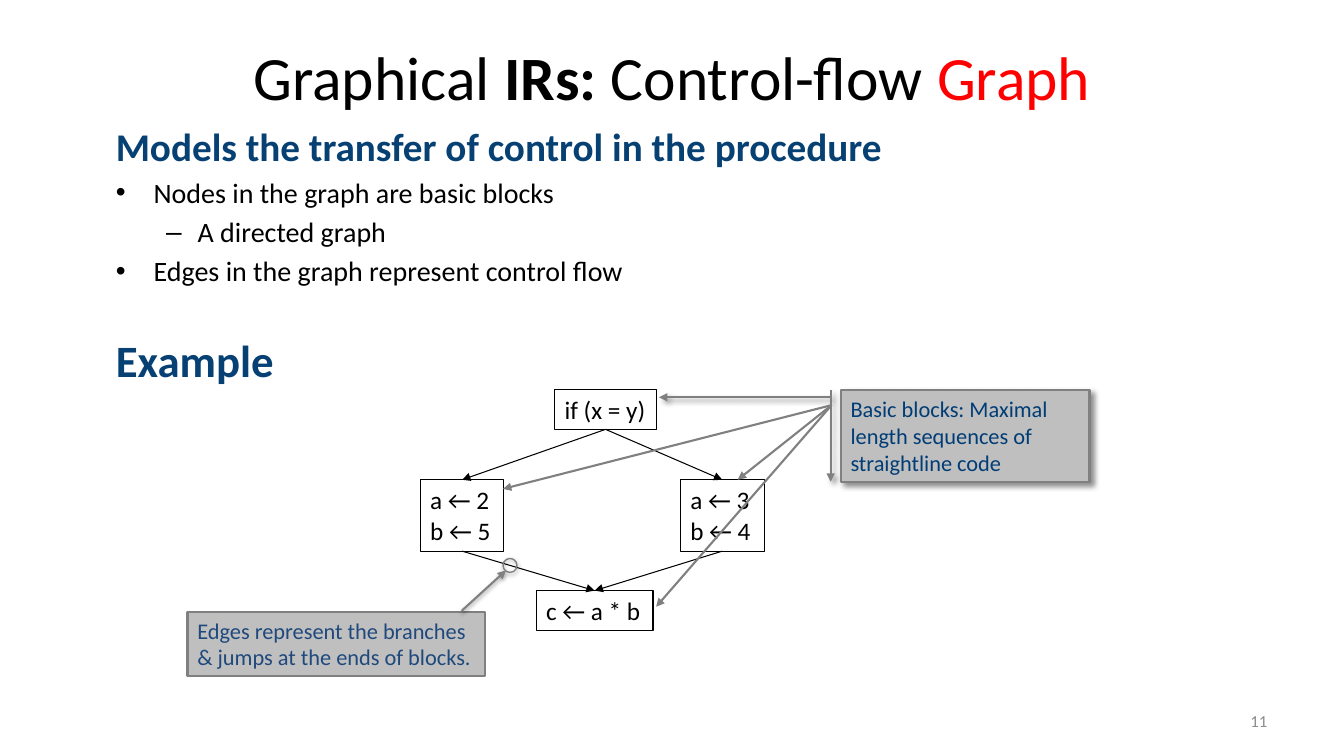
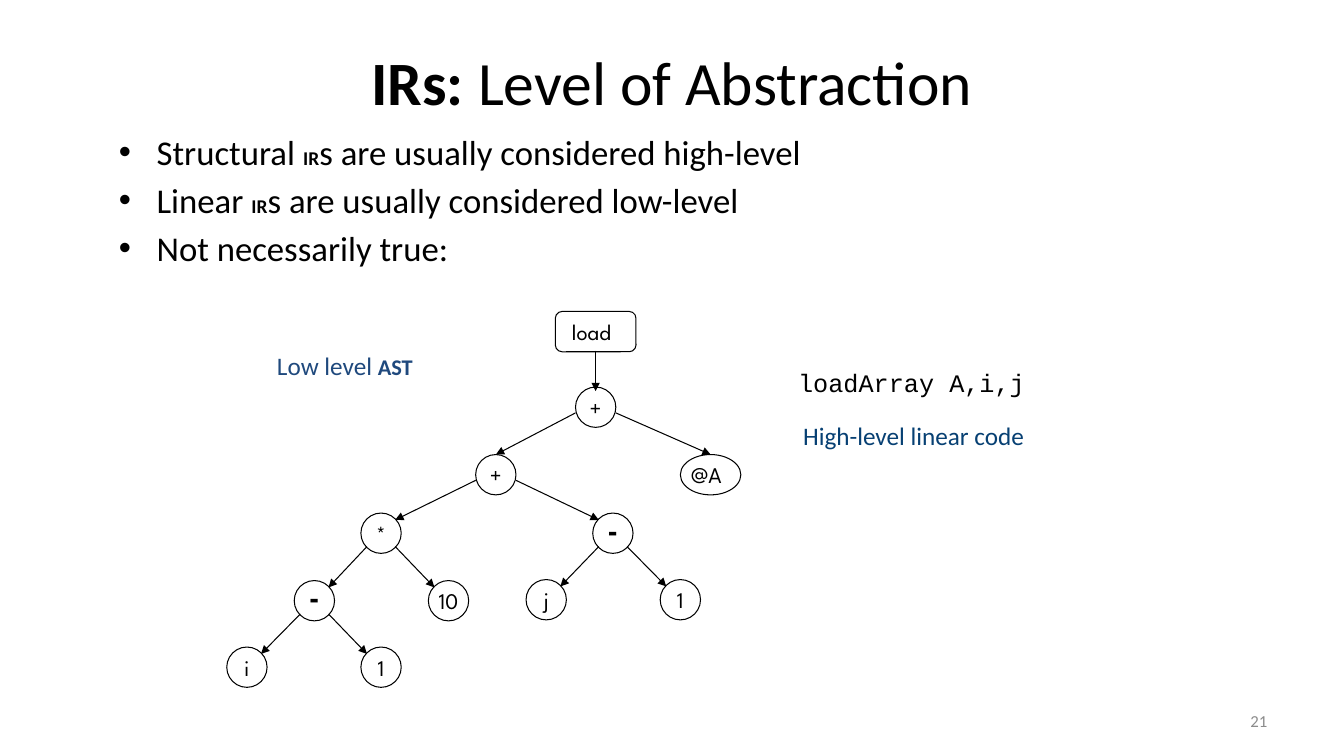
from pptx import Presentation
from pptx.dml.color import RGBColor
from pptx.enum.shapes import MSO_CONNECTOR, MSO_SHAPE
from pptx.enum.text import MSO_ANCHOR, MSO_AUTO_SIZE, PP_ALIGN
from pptx.oxml import parse_xml
from pptx.oxml.ns import nsdecls, qn
from pptx.util import Pt

LEFT, MID, RIGHT = PP_ALIGN.LEFT, PP_ALIGN.CENTER, PP_ALIGN.RIGHT
CENTER = MSO_ANCHOR.MIDDLE
FIT = MSO_AUTO_SIZE.SHAPE_TO_FIT_TEXT
BOX, OVAL = MSO_SHAPE.RECTANGLE, MSO_SHAPE.OVAL
ROUND = MSO_SHAPE.ROUNDED_RECTANGLE
CALL = MSO_SHAPE.LINE_CALLOUT_1_BORDER_AND_ACCENT_BAR
LINE = MSO_CONNECTOR.STRAIGHT

SANS, TREE, CODE = "Calibri", "League Spartan", "Courier New"
BLACK, RED, GRAY, PALE, FAINT = "000000", "FF0000", "808080", "BFBFBF", "8C8C8C"
NAVY, BLUE, DEEP = "074073", "1F497D", "003C75"
DISC = 28.8


def rgb(code):
    """Turn a hex string into a colour."""
    return RGBColor.from_string(code)


def style(font, size=None, color=None, name=None, bold=None):
    """Set the given font traits."""
    if size:
        font.size = Pt(size)
    if color:
        font.color.rgb = rgb(color)
    if name:
        font.name = name
    if bold is not None:
        font.bold = bold


def write(par, runs, size, color=BLACK, name=SANS, bold=False, align=LEFT):
    """Write a paragraph from a string or from (text, traits) runs."""
    par.alignment = align
    style(par.font, size, color, name, bold)
    for text, traits in [(runs, {})] if isinstance(runs, str) else runs:
        run = par.add_run()
        run.text = text
        style(run.font, **traits)


def lines(frame, count):
    """Return the wanted number of paragraphs of a frame."""
    return [frame.paragraphs[0]] + [frame.add_paragraph() for _ in range(count - 1)]


def label(slide, at, runs, size, color=BLACK, name=SANS, align=LEFT, wrap=False):
    """Add a one-paragraph text box."""
    frame = slide.shapes.add_textbox(*map(Pt, at)).text_frame
    frame.word_wrap = wrap
    if wrap:
        frame.vertical_anchor = CENTER
    else:
        frame.auto_size = FIT
    write(frame.paragraphs[0], runs, size, color, name, align=align)


def page(deck, title, top, number):
    """Add a slide with its title and page number."""
    slide = deck.slides.add_slide(deck.slide_layouts[6])
    label(slide, (156, top, 648, 90), title, 44, align=MID, wrap=True)
    label(slide, (688.3, 500.4, 224, 28.8), number, 12, FAINT, align=RIGHT, wrap=True)
    return slide


def indent(par, left, hang, mark):
    """Set a hanging indent and, if given, a bullet."""
    props = par._p.get_or_add_pPr()
    props.set("marL", str(Pt(left)))
    props.set("indent", str(-Pt(hang)))
    if mark:
        props.append(parse_xml(f'<a:buFont {nsdecls("a")} typeface="Arial"/>'))
        props.append(parse_xml(f'<a:buChar {nsdecls("a")} char="{mark}"/>'))


def body(slide, at, items):
    """Add the list of (runs, size, space, mark, traits) items."""
    frame = slide.shapes.add_textbox(*map(Pt, at)).text_frame
    frame.word_wrap = True
    for par, (runs, size, space, mark, traits) in zip(lines(frame, len(items)), items):
        left, hang = (58.5, 22.5) if mark == "–" else (27, 27)
        indent(par, left, hang, mark)
        if space:
            par.space_before = Pt(space)
        write(par, runs, size, **traits)


def shade(shape, alpha=0, blur=0, dist=0, angle=0):
    """Replace the effects of a shape by one shadow, or by none."""
    props = shape.element.spPr
    for old in props.findall(qn("a:effectLst")):
        props.remove(old)
    inner = "" if not alpha else (
        f'<a:outerShdw blurRad="{Pt(blur)}" dist="{Pt(dist)}" dir="{angle * 60000}" '
        f'algn="ctr" rotWithShape="0"><a:srgbClr val="000000">'
        f'<a:alpha val="{alpha * 1000}"/></a:srgbClr></a:outerShdw>')
    props.append(parse_xml(f'<a:effectLst {nsdecls("a")}>{inner}</a:effectLst>'))


def head(shape):
    """Put an arrowhead at the end of a line."""
    line = shape.element.spPr.find(qn("a:ln"))
    line.append(parse_xml(f'<a:tailEnd {nsdecls("a")} type="triangle"/>'))


def arrow(slide, start, end, color=BLACK, width=0.75, shadow=()):
    """Draw an arrow between two points."""
    shape = slide.shapes.add_connector(LINE, *map(Pt, (*start, *end)))
    shape.line.color.rgb = rgb(color)
    shape.line.width = Pt(width)
    head(shape)
    shade(shape, *shadow)


def outline(slide, kind, at, color=BLACK, width=0.75, fill=None, shadow=()):
    """Add a preset shape with a plain line."""
    shape = slide.shapes.add_shape(kind, *map(Pt, at))
    if fill:
        shape.fill.solid()
        shape.fill.fore_color.rgb = rgb(fill)
    else:
        shape.fill.background()
    shape.line.color.rgb = rgb(color)
    shape.line.width = Pt(width)
    shape.shadow.inherit = False
    if shadow:
        shade(shape, *shadow)
    return shape


def block(slide, at, texts):
    """Add a basic block of the flow graph."""
    frame = outline(slide, BOX, at).text_frame
    frame.word_wrap = False
    frame.auto_size = FIT
    frame.vertical_anchor = MSO_ANCHOR.TOP
    for par, text in zip(lines(frame, len(texts)), texts):
        write(par, text, 18)


def note(slide, kind, at, text, color, shadow=()):
    """Add a gray remark box."""
    shape = outline(slide, kind, at, GRAY, 1.5, PALE, shadow)
    frame = shape.text_frame
    frame.word_wrap = True
    frame.vertical_anchor = MSO_ANCHOR.TOP
    write(frame.paragraphs[0], text, 16, color)
    return shape


def node(slide, kind, at, text):
    """Add a tree node with its text."""
    shape = outline(slide, kind, at)
    frame = shape.text_frame
    minus = text == "-"
    frame.margin_left = frame.margin_top = 0
    frame.margin_right = Pt(6 if at[2] > DISC else 0)
    frame.margin_bottom = Pt(6 if minus else 0)
    frame.word_wrap = False
    frame.vertical_anchor = CENTER
    write(frame.paragraphs[0], text, 20 if minus else 16, name=TREE, bold=minus, align=MID)


def spot(at, part):
    """Find the point at a fraction of a box."""
    x, y, wide, high = at
    return x + wide * part[0], y + high * part[1]


def flow(deck):
    """Build the control-flow slide."""
    title = [("Graphical ", {}), ("IRs: ", {"bold": True}), ("Control-flow ", {}),
             ("Graph", {"color": RED})]
    slide = page(deck, title, 9.4, "11")
    lead = {"color": NAVY, "bold": True}
    body(slide, (75.6, 84.2, 790.6, 408.2), [
        ("Models the transfer of control in the procedure", 28, 0, None, lead),
        ("Nodes in the graph are basic blocks", 20, 4, "•", {}),
        ("A directed graph", 20, 4, "–", {}),
        ("Edges in the graph represent control flow", 20, 4, "•", {}),
        ("Example", 32, 32, None, lead)])

    blocks = {
        "test": ((396.2, 277.9, 72.7, 28.8), ["if (x = y)"]),
        "then": ((300.2, 342.7, 59.8, 51), ["a ← 2", "b ← 5"]),
        "else": ((486, 342.7, 59.8, 51), ["a ← 3", "b ← 4"]),
        "join": ((383, 421.9, 83.5, 28.8), ["c ← a * b"])}
    for at, texts in blocks.values():
        block(slide, at, texts)
    for one, two in (("test", "then"), ("test", "else"), ("then", "join"), ("else", "join")):
        arrow(slide, spot(blocks[one][0], (0.5, 1)), spot(blocks[two][0], (0.5, 0)))

    call = note(slide, CALL, (600.5, 278.6, 177.8, 65.5),
                "Basic blocks: Maximal length sequences of straightline code",
                DEEP, (43, 4, 3, 45))
    for rank, value in enumerate((0.08, -0.04, 0.08, -0.73)):
        call.adjustments[rank] = value
    head(call)
    for end in ((527, 342.7), (359.3, 349.2), (468.7, 433.4)):
        arrow(slide, (594, 289.4), end, GRAY, 1.5)

    outline(slide, OVAL, (359.3, 398.9, 10, 10), GRAY, 1, shadow=(35, 3.1, 1.8, 90))
    note(slide, BOX, (133.9, 437, 212.4, 46),
         "Edges represent the branches & jumps at the ends of blocks.", BLUE)
    arrow(slide, (329.8, 436.3), (361.4, 407.5), GRAY, 1.5, (38, 3.1, 1.6, 90))


def level(deck):
    """Build the slide on levels of abstraction."""
    slide = page(deck, [("IRs: ", {"bold": True}), ("Level of Abstraction", {})], 12.4, "21")
    small = ("IR", {"size": 13.9, "bold": True})
    body(slide, (77.8, 90, 808.6, 117.4), [
        ([("Structural ", {}), small, ("s are usually considered high-level", {})],
         24.8, 0, "•", {}),
        ([("Linear ", {}), small, ("s are usually considered low-level", {})],
         24.8, 4.5, "•", {}),
        ("Not necessarily true:", 24.8, 4.5, "•", {})])

    nodes = {
        "load": (396.7, 222.5, 57.6, "load"),
        "root": (411.1, 276.5, DISC, "+"),
        "sum": (339.8, 324.7, DISC, "+"),
        "base": (486, 324.7, 43.2, "@A"),
        "times": (257.8, 366.5, DISC, "*"),
        "col": (423.4, 366.5, DISC, "-"),
        "row": (210.2, 414.7, DISC, "-"),
        "ten": (306, 414.7, DISC, "10"),
        "j": (375.8, 414, DISC, "j"),
        "one": (471.6, 414, DISC, "1"),
        "i": (162, 462.2, DISC, "i"),
        "unit": (257.8, 462.2, DISC, "1")}
    spots = {key: (x, y, wide, DISC) for key, (x, y, wide, _) in nodes.items()}
    for key, (*_, text) in nodes.items():
        node(slide, ROUND if key == "load" else OVAL, spots[key], text)

    side, low, high, top = (0, 0.64), (0.15, 0.83), (0.85, 0.17), (0.5, 0)
    pairs = [("root", "sum", "base", side, top), ("sum", "times", "col", side, high),
             ("times", "row", "ten", low, high), ("col", "j", "one", low, high),
             ("row", "i", "unit", low, high)]
    arrow(slide, spot(spots["load"], (0.5, 0.97)), spot(spots["root"], (0.5, 0.1)))
    for stem, left, right, out, into in pairs:
        arrow(slide, spot(spots[stem], out), spot(spots[left], into))
        arrow(slide, spot(spots[stem], (1 - out[0], out[1])),
              spot(spots[right], (1 - into[0], into[1])))

    label(slide, (190.8, 247, 115.2, 28.8),
          [("Low level ", {}), ("AST", {"size": 16, "bold": True})], 18, BLUE)
    label(slide, (563, 258.5, 177.8, 28.8), "loadArray A,i,j", 18, name=CODE)
    label(slide, (566.6, 296.6, 179.3, 28.8), "High-level linear code", 18, NAVY)


def main():
    """Build and save the deck."""
    deck = Presentation()
    deck.slide_width, deck.slide_height = Pt(960), Pt(540)
    flow(deck)
    level(deck)
    deck.save("out.pptx")


if __name__ == "__main__":
    main()
